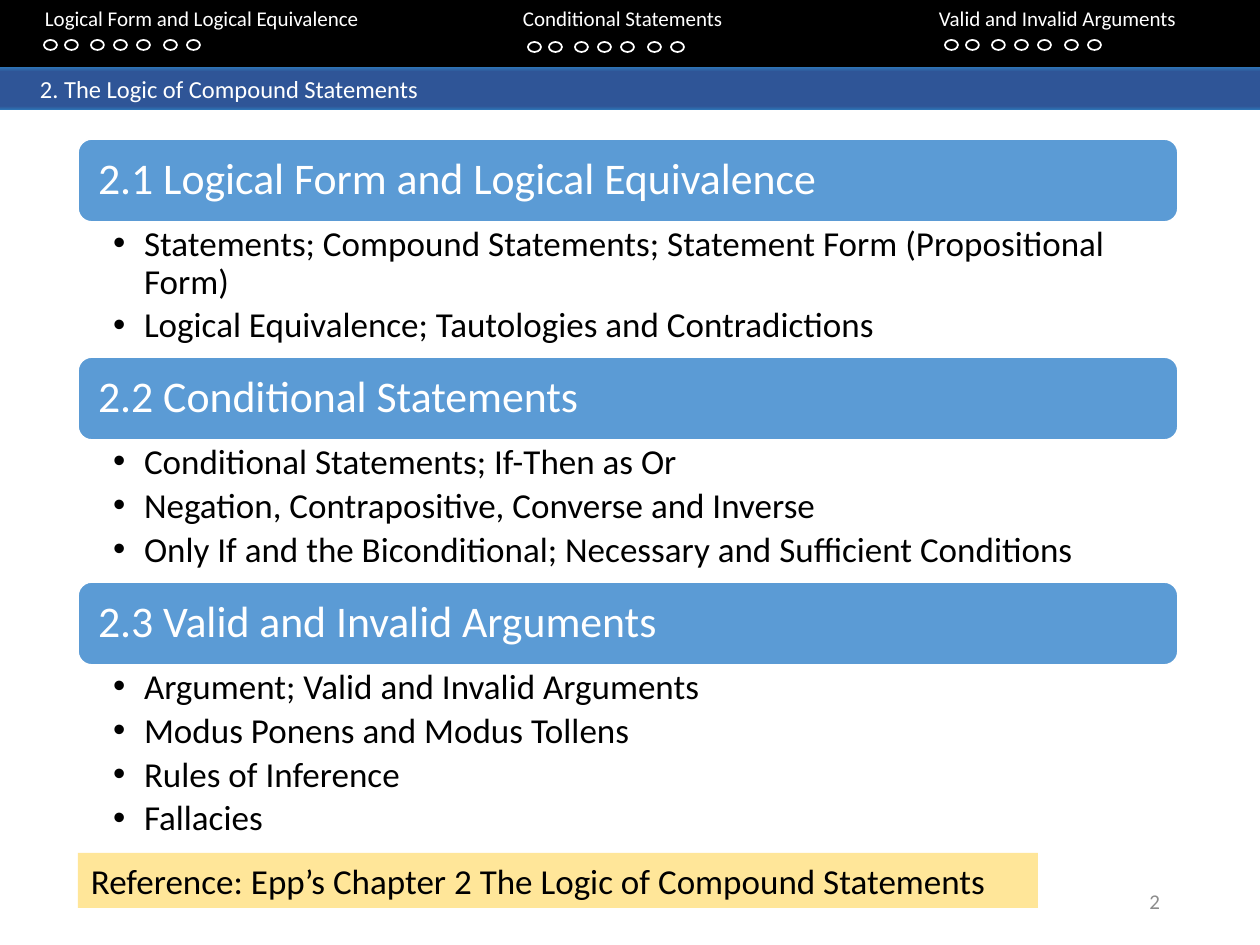
import copy

import lxml.etree
import pptx
import pptx.dml.color
import pptx.enum.shapes
import pptx.enum.text
import pptx.oxml.ns
import pptx.util

SHAPES = pptx.enum.shapes.MSO_SHAPE
ANCHORS = pptx.enum.text.MSO_ANCHOR
EMU_PER_PX = 914400 / 126
FONT = "Calibri"
WHITE, BLACK = "FFFFFF", "000000"

DOT_OFFSETS = [0, 21, 47, 70, 93, 120, 143]
NAVIGATION = [
    ("Logical Form and Logical Equivalence", 32, (44, 40)),
    ("Conditional Statements", 510, (528, 42)),
    ("Valid and Invalid Arguments", 926, (945, 40)),
]
SECTIONS = [
    ("2.1 Logical Form and Logical Equivalence", 135, [
        "Statements; Compound Statements; Statement Form (Propositional Form)",
        "Logical Equivalence; Tautologies and Contradictions",
    ]),
    ("2.2 Conditional Statements", 142, [
        "Conditional Statements; If-Then as Or",
        "Negation, Contrapositive, Converse and Inverse",
        "Only If and the Biconditional; Necessary and Sufficient Conditions",
    ]),
    ("2.3 Valid and Invalid Arguments", 189, [
        "Argument; Valid and Invalid Arguments",
        "Modus Ponens and Modus Tollens",
        "Rules of Inference",
        "Fallacies",
    ]),
]


def px(length):
    return pptx.util.Emu(round(length * EMU_PER_PX))


def color(value):
    return pptx.dml.color.RGBColor.from_string(value)


def add_element(parent, tag, **attributes):
    return lxml.etree.SubElement(parent, pptx.oxml.ns.qn(tag), attributes)


def set_frame(box, insets, anchor):
    frame = box.text_frame
    frame.word_wrap = True
    frame.vertical_anchor = anchor
    frame.margin_left, frame.margin_top, frame.margin_right, frame.margin_bottom = map(px, insets)
    return frame


def add_shape(page, kind, left, top, width, height, fill=None, line=None):
    shape = page.shapes.add_shape(kind, px(left), px(top), px(width), px(height))
    shape.shadow.inherit = False
    if fill:
        shape.fill.solid()
        shape.fill.fore_color.rgb = color(fill)
    else:
        shape.fill.background()
    if line:
        shape.line.color.rgb = color(line)
        shape.line.width = pptx.util.Pt(1)
    else:
        shape.line.fill.background()
    return shape


def add_text_box(page, left, top, width, height, insets, anchor=ANCHORS.TOP):
    box = page.shapes.add_textbox(px(left), px(top), px(width), px(height))
    return set_frame(box, insets, anchor)


def write(para, text, size, ink, align=pptx.enum.text.PP_ALIGN.LEFT):
    para.alignment = align
    span = para.add_run()
    span.text = text
    span.font.name = FONT
    span.font.size = pptx.util.Pt(size)
    span.font.color.rgb = color(ink)


def set_gradient(shape, stops):
    shape.fill.gradient()
    shape.fill.gradient_angle = 270
    stop_list = shape.fill.gradient_stops
    parent = shape._element.spPr.find(".//" + pptx.oxml.ns.qn("a:gsLst"))
    for extra in range(len(stops) - len(stop_list)):
        parent.append(copy.deepcopy(parent[0]))
    for stop, (position, value) in zip(shape.fill.gradient_stops, stops):
        stop.position = position
        stop.color.rgb = color(value)


def add_navigation(page, left, top, width, height):
    band = add_shape(page, SHAPES.RECTANGLE, left, top, width, height, BLACK)
    para = set_frame(band, (13, 6, 13, 6), ANCHORS.TOP).paragraphs[0]
    tabs = add_element(para._p.get_or_add_pPr(), "a:tabLst")
    for title, tab, (dot_left, dot_top) in NAVIGATION:
        add_element(tabs, "a:tab", pos=str(px(tab)), algn="l")
        write(para, "\t" + title, 12, WHITE)
        for offset in DOT_OFFSETS:
            add_shape(page, SHAPES.OVAL, left + dot_left + offset, top + dot_top, 13, 10, line=WHITE)


def add_title_bar(page, left, top, width, height):
    bar = add_shape(page, SHAPES.RECTANGLE, left, top, width, height)
    set_gradient(bar, [(0, "2E75B6"), (0.11, "2F5597"), (0.91, "2F5597"), (1, "2E75B6")])
    frame = set_frame(bar, (40, 6, 13, 6), ANCHORS.MIDDLE)
    write(frame.paragraphs[0], "2. The Logic of Compound Statements", 14, WHITE)


def add_section(page, left, top, width, heading_height, heading, body_height, topics):
    banner = add_shape(page, SHAPES.ROUNDED_RECTANGLE, left, top, width, heading_height, "5B9BD5", WHITE)
    para = set_frame(banner, (16, 13, 16, 13), ANCHORS.MIDDLE).paragraphs[0]
    para.line_spacing = 0.9
    write(para, heading, 25, WHITE)

    frame = add_text_box(page, left, top + heading_height, width, body_height, (35, 4, 24, 4))
    for index, topic in enumerate(topics):
        para = frame.add_paragraph() if index else frame.paragraphs[0]
        para.level = 1
        para.line_spacing = 0.9
        para.space_after = pptx.util.Pt(3.5)
        properties = para._p.get_or_add_pPr()
        properties.set("marL", str(px(31)))
        properties.set("indent", str(-px(31)))
        add_element(properties, "a:buFont", typeface="Arial")
        add_element(properties, "a:buChar", char="•")
        write(para, topic, 20, BLACK)


def add_outline(page, left, top, width):
    heading_height = 83
    for heading, body_height, topics in SECTIONS:
        add_section(page, left, top, width, heading_height, heading, body_height, topics)
        top += heading_height + body_height


def add_reference(page, left, top, width, height):
    note = add_shape(page, SHAPES.RECTANGLE, left, top, width, height, "FFE699")
    frame = set_frame(note, (13, 6, 13, 6), ANCHORS.TOP)
    write(frame.paragraphs[0], "Reference: Epp’s Chapter 2 The Logic of Compound Statements", 20, BLACK)


def add_page_number(page, left, top, width, height):
    frame = add_text_box(page, left, top, width, height, (13, 6, 13, 6), ANCHORS.MIDDLE)
    write(frame.paragraphs[0], "2", 12, "8C8C8C", pptx.enum.text.PP_ALIGN.RIGHT)


def main():
    deck = pptx.Presentation()
    deck.slide_width, deck.slide_height = px(1260), px(945)
    page = deck.slides.add_slide(deck.slide_layouts[6])
    add_navigation(page, 0, 0, 1260, 67)
    add_title_bar(page, 0, 67, 1260, 43)
    add_page_number(page, 890, 876, 283, 50)
    add_outline(page, 78, 139, 1100)
    add_reference(page, 78, 853, 960, 55)
    deck.save("out.pptx")


if __name__ == "__main__":
    main()
